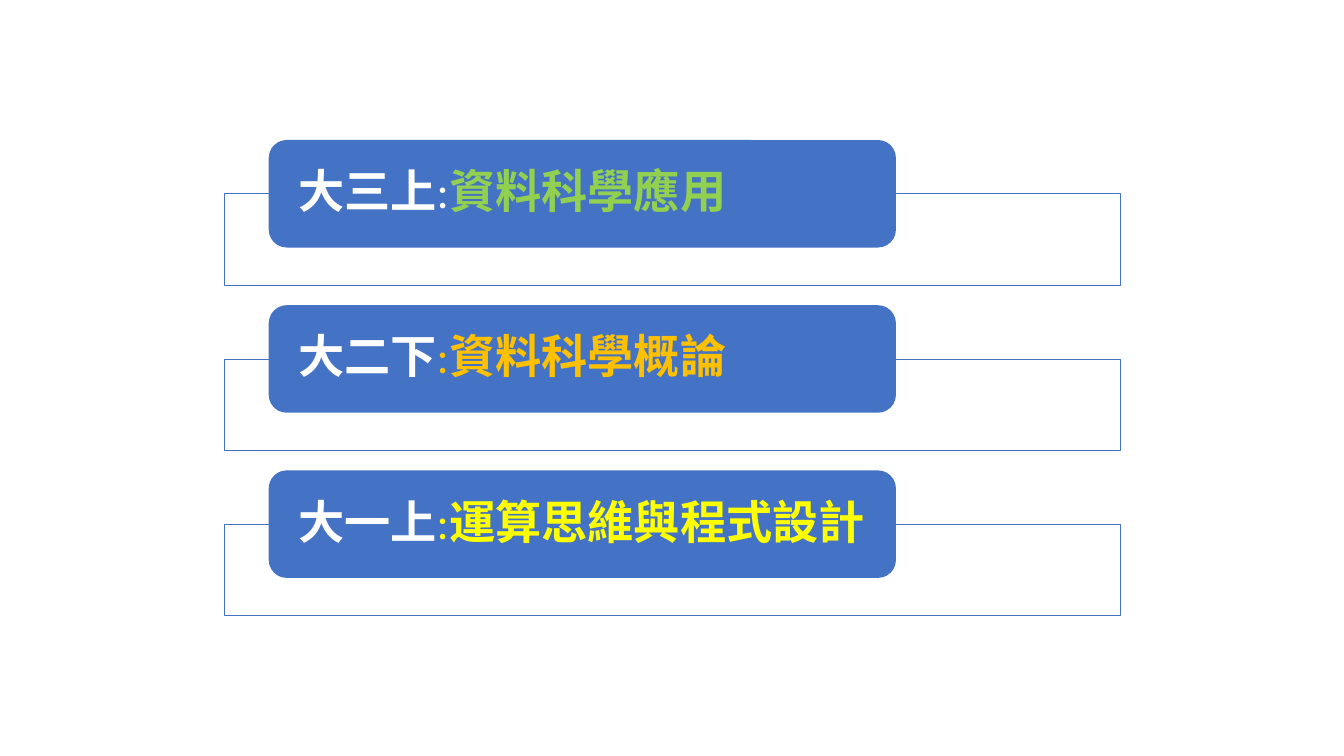
"""Build a slide of three stacked course boxes, one for each school term."""
from lxml import etree
from pptx import Presentation
from pptx.dml import color
from pptx.enum import shapes, text
from pptx.oxml import ns
from pptx.util import Pt

COURSES = [
    ("大三上", "資料科學應用", "FFFFFF", "92D050"),
    ("大二下", "資料科學概論", "FFC000", "FFC000"),
    ("大一上", "運算思維與程式設計", "FFFF00", "FFFF00"),
]
BLUE, WHITE = "4472C4", "FFFFFF"
FIRST_TOP, ROW_STEP = 100, 118
FRAME_LEFT, FRAME_DROP, FRAME_WIDTH, FRAME_HEIGHT = 160, 38.4, 640, 65.5
BOX_LEFT, BOX_WIDTH, BOX_HEIGHT = 192, 448, 76.8
FRAME_FORMAT = {
    "word_wrap": True,
    "vertical_anchor": text.MSO_ANCHOR.MIDDLE,
    "margin_left": Pt(17.2),
    "margin_right": Pt(17.2),
    "margin_top": 0,
    "margin_bottom": 0,
}


def apply_format(target, values):
    for name, value in values.items():
        setattr(target, name, value)


def rgb(value):
    return color.RGBColor.from_string(value)


def add_block(slide, kind, left, top, width, height, fill):
    shape = slide.shapes.add_shape(kind, Pt(left), Pt(top), Pt(width), Pt(height))
    shape.shadow.inherit = False
    shape.fill.solid()
    shape.fill.fore_color.rgb = rgb(fill)
    shape.line.color.rgb = rgb(BLUE)
    shape.line.width = Pt(0.5)
    return shape


def add_label(box, parts):
    apply_format(box.text_frame, FRAME_FORMAT)
    paragraph = box.text_frame.paragraphs[0]
    apply_format(paragraph, {"alignment": text.PP_ALIGN.LEFT, "line_spacing": 0.9})
    properties = paragraph._p.get_or_add_pPr()
    space_after = etree.SubElement(properties, ns.qn("a:spcAft"))
    etree.SubElement(space_after, ns.qn("a:spcPct"), val="35000")
    for words, hue, bold in parts:
        run = paragraph.add_run()
        run.text = words
        apply_format(run.font, {"name": "Calibri", "size": Pt(33), "bold": bold})
        run.font.color.rgb = rgb(hue)


presentation = Presentation()
presentation.slide_width, presentation.slide_height = Pt(960), Pt(540)
slide = presentation.slides.add_slide(presentation.slide_layouts[6])

for row, (term, course, colon_color, course_color) in enumerate(COURSES):
    top = FIRST_TOP + row * ROW_STEP
    add_block(slide, shapes.MSO_SHAPE.RECTANGLE, FRAME_LEFT, top + FRAME_DROP,
              FRAME_WIDTH, FRAME_HEIGHT, WHITE)
    box = add_block(slide, shapes.MSO_SHAPE.ROUNDED_RECTANGLE, BOX_LEFT, top,
                    BOX_WIDTH, BOX_HEIGHT, BLUE)
    box.line.fill.background()
    add_label(box, [(term, WHITE, True), (":", colon_color, False),
                    (course, course_color, True)])

presentation.save("out.pptx")
